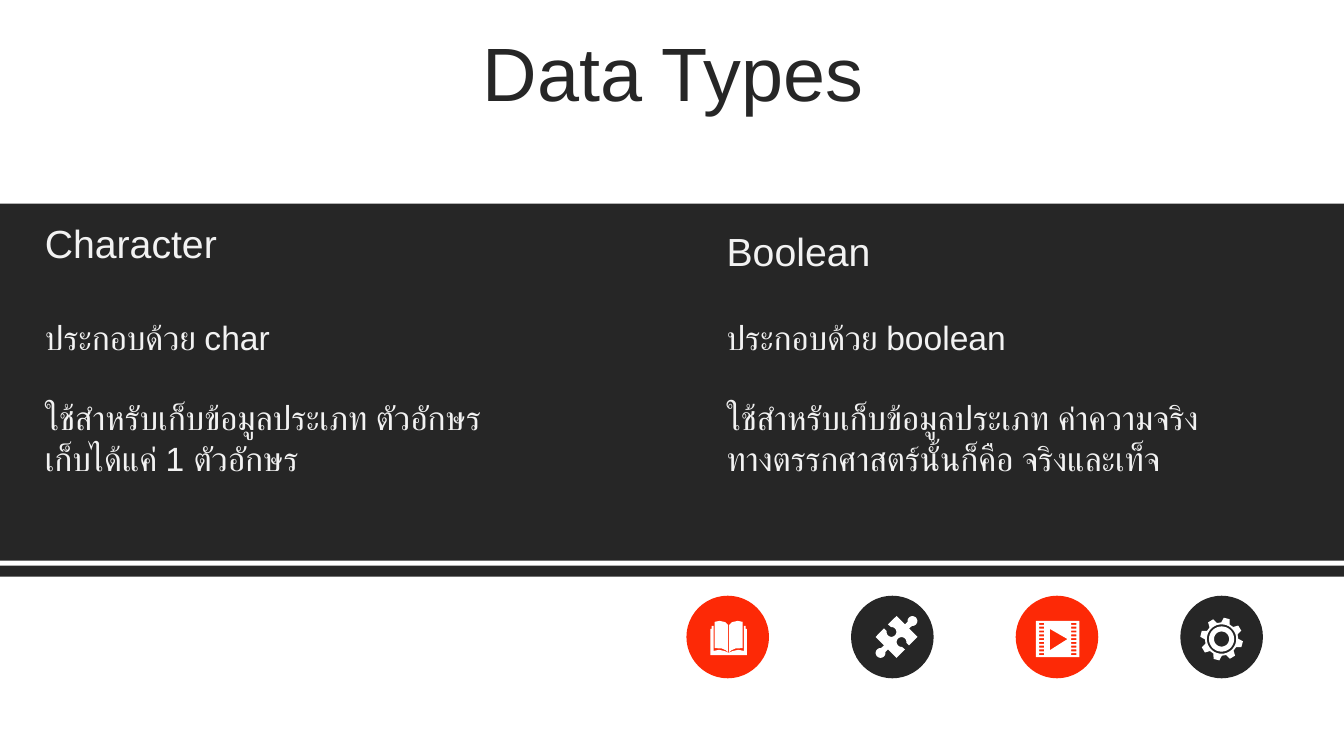
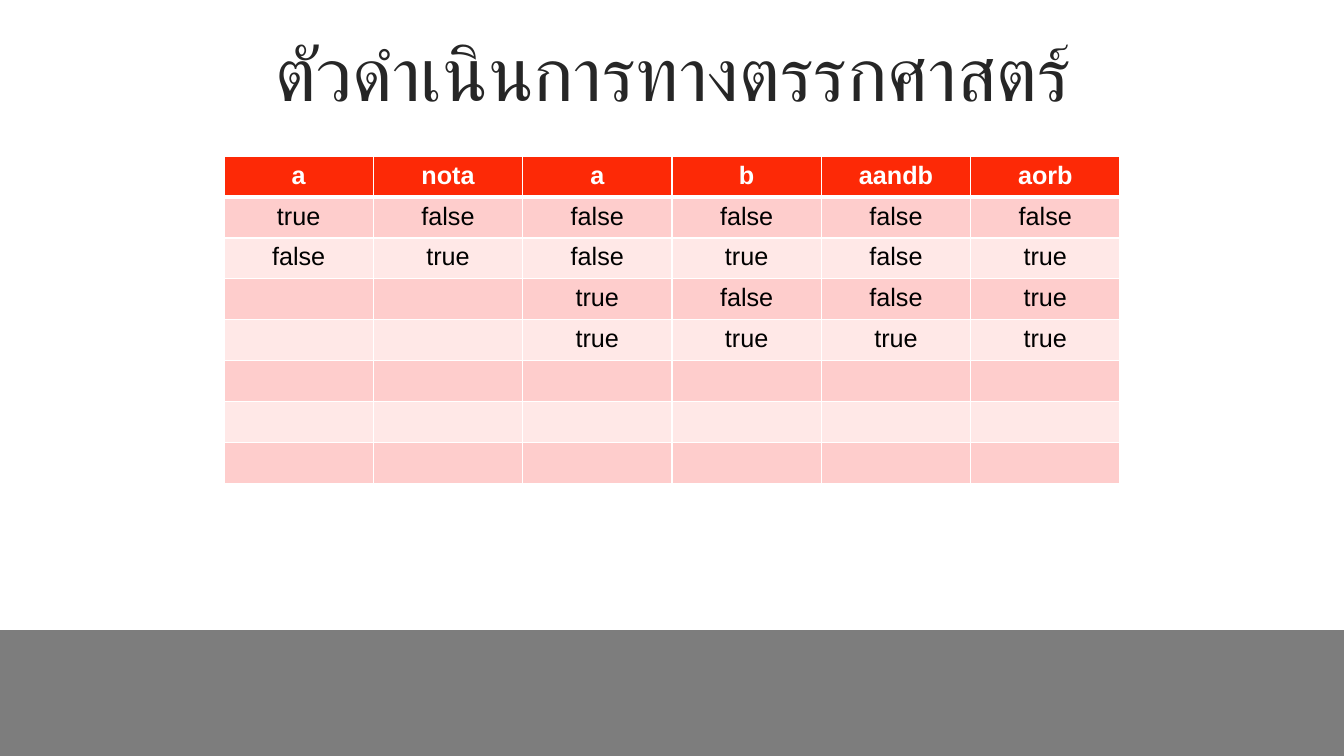
import math

import lxml.etree
import pptx
import pptx.dml.color
import pptx.enum.shapes
import pptx.enum.text
import pptx.oxml.ns
import pptx.util

Pt = pptx.util.Pt
PP_ALIGN = pptx.enum.text.PP_ALIGN
MSO_ANCHOR = pptx.enum.text.MSO_ANCHOR
MSO_SHAPE = pptx.enum.shapes.MSO_SHAPE

# Shared look
WIDTH, HEIGHT = 960, 540
FONT = "Arial"
DARK, RED, WHITE, GRAY = "262626", "FD2906", "FFFFFF", "7D7D7D"
PALE, BLACK = "F2F2F2", "000000"
ROW_FILLS = ("FECDCC", "FFE8E7")

TRUTH_ROWS = [
    ["a", "nota", "a", "b", "aandb", "aorb"],
    ["true", "false", "false", "false", "false", "false"],
    ["false", "true", "false", "true", "false", "true"],
    ["", "", "true", "false", "false", "true"],
    ["", "", "true", "true", "true", "true"],
    [""] * 6,
    [""] * 6,
    [""] * 6,
]


def color(value):
    return pptx.dml.color.RGBColor.from_string(value)


def paint(shape, fill):
    shape.shadow.inherit = False
    shape.fill.solid()
    shape.fill.fore_color.rgb = color(fill)
    shape.line.fill.background()


def add_block(slide, left, top, width, height, fill, kind=MSO_SHAPE.RECTANGLE):
    shape = slide.shapes.add_shape(kind, Pt(left), Pt(top), Pt(width), Pt(height))
    paint(shape, fill)


def style(paragraph, size, text_color, bold=False):
    font = paragraph.font
    font.name, font.size, font.bold = FONT, Pt(size), bold
    font.color.rgb = color(text_color)


def add_text(slide, left, top, width, height, lines, size, text_color, gap=0):
    """Add a text box with one paragraph per line and a gap between them."""
    box = slide.shapes.add_textbox(Pt(left), Pt(top), Pt(width), Pt(height))
    frame = box.text_frame
    frame.word_wrap = True
    for index, line in enumerate(lines):
        paragraph = frame.add_paragraph() if index else frame.paragraphs[0]
        paragraph.text = line
        style(paragraph, size, text_color)
        if index:
            paragraph.space_before = Pt(gap)
    return frame


def add_title(slide, text):
    frame = add_text(slide, 25, 26.6, 911.6, 57, [text], 54, DARK)
    frame.vertical_anchor = MSO_ANCHOR.MIDDLE
    paragraph = frame.paragraphs[0]
    paragraph.alignment = PP_ALIGN.CENTER
    paragraph.line_spacing = 0.9
    paragraph.space_before = Pt(10)


# Icons: contours in points around the icon's centre; inner contours are holes
def polar(radius, degrees):
    angle = math.radians(degrees)
    return radius * math.cos(angle), radius * math.sin(angle)


def rectangle(left, top, right, bottom):
    return [(left, top), (right, top), (right, bottom), (left, bottom)]


def book_contours():
    page = [(0.4, -8.6), (2.5, -10.6), (6.5, -11.5), (10, -10.8),
            (10, 8), (5, 8.2), (2, 9.5), (0.4, 10.8)]
    cover = [(0, 13), (13, 13), (13, -5.7), (12.2, -5.7), (12.2, -7.9),
             (10.8, -7.9), (10.8, 10), (7, 9.2), (3, 10), (0, 11.3)]
    return [[(side * x + 0.7, y) for x, y in half]
            for side in (-1, 1) for half in (page, cover)]


def puzzle_contours():
    half, neck, radius, rise = 10.6, 2, 3.5, 5.5
    knob = [polar(radius, angle) for angle in range(235, -56, -15)]
    edge = [(-half, 0), (-neck, 0)]
    edge += [(x, rise + y) for x, y in knob] + [(neck, 0)]
    outline = []
    for side in range(4):
        outward = 1 if side % 2 == 0 else -1
        turn = math.radians(45 + 90 * side)
        for along, out in edge:
            away = -half - outward * out
            outline.append((along * math.cos(turn) - away * math.sin(turn) + 3,
                            along * math.sin(turn) + away * math.cos(turn)))
    return [outline]


def film_contours():
    contours = [rectangle(-15, -11.5, 16, 14.4),
                [(-5, -5.7), (-5, 9.4), (7.5, 1.5)]]
    for row in range(9):
        top = -10 + 2.7 * row
        contours += [rectangle(left, top, left + 3.6, top + 1.4)
                     for left in (-12.8, 10.2)]
    return contours


def gear_contours():
    teeth = [polar(radius, 14 + 45 * tooth + offset)
             for tooth in range(8)
             for radius, offset in ((11.9, -15), (15.3, -8), (15.3, 8), (11.9, 15))]
    rings = [[polar(radius, angle) for angle in range(0, 360, 10)]
             for radius in (10.5, 9, 5.4)]
    return [[(x, y + 1.5) for x, y in contour] for contour in [teeth] + rings]


def add_icon(slide, center_x, center_y, contours):
    units = 100  # drawing units per point
    outlines = [[((center_x + x) * units, (center_y + y) * units) for x, y in contour]
                for contour in contours]
    builder = slide.shapes.build_freeform(*outlines[0][0], scale=Pt(1) / units)
    for index, outline in enumerate(outlines):
        if index:
            builder.move_to(*outline[0])
        builder.add_line_segments(outline[1:], close=True)
    paint(builder.convert_to_shape(), WHITE)


# Table
def set_borders(cell, widths):
    properties = cell._tc.get_or_add_tcPr()
    for position, (side, width) in enumerate(widths.items()):
        line = lxml.etree.Element(pptx.oxml.ns.qn("a:" + side), w=str(Pt(width)))
        fill = lxml.etree.SubElement(line, pptx.oxml.ns.qn("a:solidFill"))
        lxml.etree.SubElement(fill, pptx.oxml.ns.qn("a:srgbClr"), val=WHITE)
        properties.insert(position, line)


def add_truth_table(slide, left, top, column_width, row_height, rows):
    columns = len(rows[0])
    table = slide.shapes.add_table(
        len(rows), columns, Pt(left), Pt(top),
        Pt(column_width * columns), Pt(row_height * len(rows))).table
    for row, texts in enumerate(rows):
        header = row == 0
        table.rows[row].height = Pt(row_height)
        for column, text in enumerate(texts):
            cell = table.cell(row, column)
            cell.fill.solid()
            cell.fill.fore_color.rgb = color(RED if header else ROW_FILLS[(row - 1) % 2])
            set_borders(cell, {"lnL": 1, "lnR": 1, "lnT": 3 if row == 1 else 1,
                               "lnB": 3 if header else 1})
            paragraph = cell.text_frame.paragraphs[0]
            paragraph.text = text
            paragraph.alignment = PP_ALIGN.CENTER
            style(paragraph, 18, WHITE if header else BLACK, header)
    for column in table.columns:
        column.width = Pt(column_width)


# Slides
def build_data_types(slide):
    add_block(slide, 0, 404, WIDTH, 8, DARK)
    add_block(slide, 0, 145.5, WIDTH, 255, DARK)

    diameter, center_y = 59, 455
    icons = (book_contours, puzzle_contours, film_contours, gear_contours)
    for index, contours in enumerate(icons):
        center_x = 519.8 + 117.6 * index
        add_block(slide, center_x - diameter / 2, center_y - diameter / 2,
                  diameter, diameter, (RED, DARK)[index % 2], MSO_SHAPE.OVAL)
        add_icon(slide, center_x, center_y, contours())

    add_title(slide, "Data Types")
    for left, top, heading, lines in (
        (25, 153.4, "Character",
         ["ประกอบด้วย char",
          "ใช้สำหรับเก็บข้อมูลประเภท ตัวอักษร\vเก็บได้แค่ 1 ตัวอักษร"]),
        (512, 159, "Boolean",
         ["ประกอบด้วย boolean",
          "ใช้สำหรับเก็บข้อมูลประเภท ค่าความจริงทางตรรกศาสตร์นั้นก็คือ จริงและเท็จ"]),
    ):
        add_text(slide, left, top, 376, 41, [heading], 28, PALE)
        add_text(slide, left, 222.5, 376, 124, lines, 24, PALE, gap=29)


def build_logical_operators(slide):
    add_block(slide, 0, 450, WIDTH, HEIGHT - 450, GRAY)
    add_title(slide, "ตัวดำเนินการทางตรรกศาสตร์")
    add_truth_table(slide, 160, 111.6, 106.67, 29.2, TRUTH_ROWS)


def main():
    presentation = pptx.Presentation()
    presentation.slide_width, presentation.slide_height = Pt(WIDTH), Pt(HEIGHT)
    blank = presentation.slide_layouts[6]
    for build in (build_data_types, build_logical_operators):
        build(presentation.slides.add_slide(blank))
    presentation.save("out.pptx")


if __name__ == "__main__":
    main()
